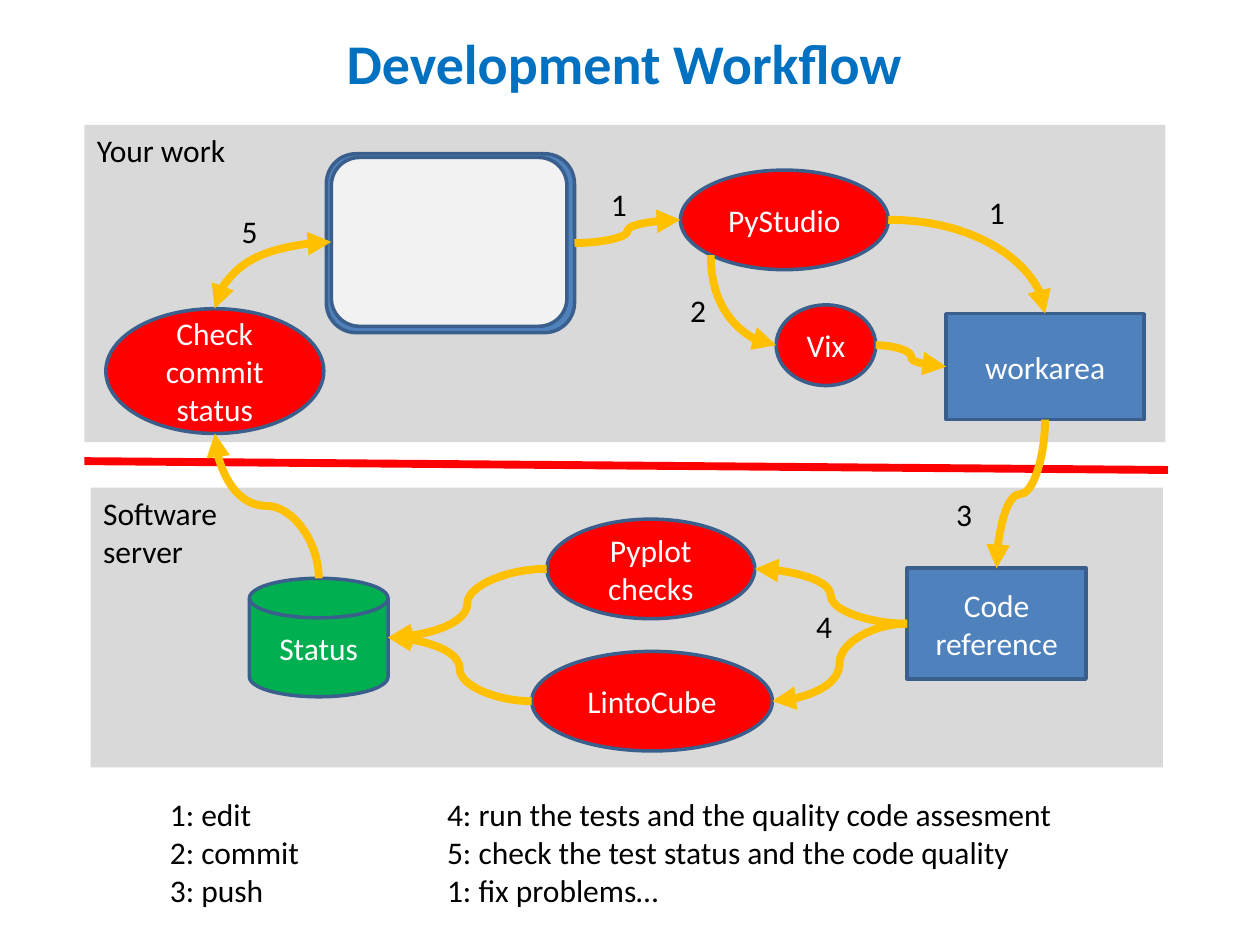
import pptx
import pptx.dml.color
import pptx.enum.shapes
import pptx.enum.text
import pptx.oxml
import pptx.util
from pptx.util import Inches

SHAPE = pptx.enum.shapes.MSO_SHAPE
CONNECTOR = pptx.enum.shapes.MSO_CONNECTOR
ALIGN = pptx.enum.text.PP_ALIGN
ANCHOR = pptx.enum.text.MSO_ANCHOR
Color = pptx.dml.color.RGBColor

WHITE = Color(0xFF, 0xFF, 0xFF)
BLACK = Color(0, 0, 0)
PANEL_GREY = Color(0xD9, 0xD9, 0xD9)
CARD_GREY = Color(0xF2, 0xF2, 0xF2)
BLUE = Color(0x4F, 0x81, 0xBD)
OUTLINE = Color(0x3A, 0x5F, 0x8C)
TITLE_BLUE = Color(0x00, 0x70, 0xC0)
RED = Color(0xFF, 0, 0)
GREEN = Color(0x00, 0xB0, 0x50)
AMBER = Color(0xFF, 0xC0, 0x00)


def write(shape, text, color, size=18, bold=False, align=ALIGN.LEFT, anchor=ANCHOR.TOP, wrap=True):
    frame = shape.text_frame
    frame.text = text
    frame.word_wrap = wrap
    frame.vertical_anchor = anchor
    for para in frame.paragraphs:
        para.alignment = align
        for span in para.runs:
            span.font.name = "Calibri"
            span.font.size = pptx.util.Pt(size)
            span.font.bold = bold
            span.font.color.rgb = color


def add_block(shapes, kind, box, fill, outline=OUTLINE):
    shape = shapes.add_shape(kind, *map(Inches, box))
    shape.shadow.inherit = False
    shape.fill.solid()
    shape.fill.fore_color.rgb = fill
    if outline is None:
        shape.line.fill.background()
    else:
        shape.line.color.rgb = outline
        shape.line.width = pptx.util.Pt(2)
    return shape


def shift(box, offset):
    """Turn an offset inside a region into a place on the page."""
    return (box[0] + offset[0], box[1] + offset[1], *offset[2:])


def add_panel(page, box, text):
    panel = add_block(page.shapes, SHAPE.RECTANGLE, box, PANEL_GREY, None)
    write(panel, text, BLACK)


def add_node(page, box, kind, offset, fill, text):
    node = add_block(page.shapes, kind, shift(box, offset), fill)
    write(node, text, WHITE, align=ALIGN.CENTER, anchor=ANCHOR.MIDDLE)
    return node


def add_note(page, box, text):
    note = page.shapes.add_textbox(*map(Inches, box))
    write(note, text, BLACK, wrap=False)


def add_step(page, box, offset, text):
    add_note(page, (*shift(box, offset), 0.33, 0.4), text)


def side(shape, across, down):
    """Point at the given fractions of the shape's width and height."""
    return (int(shape.left + across * shape.width), int(shape.top + down * shape.height))


def top(shape):
    return side(shape, 0.5, 0)


def bottom(shape):
    return side(shape, 0.5, 1)


def left(shape):
    return side(shape, 0, 0.5)


def right(shape):
    return side(shape, 1, 0.5)


def add_line(page, kind, start, end, color):
    line = page.shapes.add_connector(kind, *start, *end)
    line.line.color.rgb = color
    line.line.width = pptx.util.Pt(4.5)
    line._element.spPr.append(pptx.oxml.parse_xml(
        '<a:effectLst xmlns:a="http://schemas.openxmlformats.org/drawingml/2006/main"/>'))
    return line


def add_curve(page, start, end, quarter=False, vertical=False, ends=("tailEnd",)):
    """Curved arrow; quarter makes one bend, vertical leaves the start upright."""
    curve = add_line(page, CONNECTOR.CURVE, start, end, AMBER)
    properties = curve._element.spPr
    if quarter:
        properties.prstGeom.set("prst", "curvedConnector2")
    if vertical:
        # Swap the sides about the centre, then turn the frame a quarter
        across, down = end[0] - start[0], end[1] - start[1]
        curve.width, curve.height = abs(down), abs(across)
        curve.left = (start[0] + end[0] - abs(down)) // 2
        curve.top = (start[1] + end[1] - abs(across)) // 2
        frame = properties.xfrm
        frame.rot = 270
        frame.flipH, frame.flipV = down > 0, across < 0
    for name in ends:
        arrow = pptx.oxml.parse_xml(
            f'<a:{name} xmlns:a="http://schemas.openxmlformats.org/drawingml/2006/main" type="triangle"/>')
        curve.line._get_or_add_ln().append(arrow)


def add_title(page, box):
    title = page.shapes.title
    title.left, title.top, title.width, title.height = map(Inches, box)
    write(title, "Development Workflow", TITLE_BLUE, size=32, bold=True, wrap=False)


def add_work_region(page, box):
    add_panel(page, box, "Your work")
    workarea = add_node(page, box, SHAPE.RECTANGLE, (6.84, 1.5, 1.57, 0.84), BLUE, "workarea")
    editor = add_node(page, box, SHAPE.OVAL, (4.73, 0.36, 1.65, 0.79), RED, "PyStudio")
    versions = add_node(page, box, SHAPE.OVAL, (5.49, 1.43, 0.79, 0.64), RED, "Vix")
    check = add_node(page, box, SHAPE.OVAL, (0.17, 1.46, 1.73, 0.99), RED, "Check\ncommit\nstatus")

    # Framed card
    group = page.shapes.add_group_shape()
    frame = add_block(group.shapes, SHAPE.ROUNDED_RECTANGLE, shift(box, (1.92, 0.23, 1.97, 1.42)), BLUE)
    card = add_block(group.shapes, SHAPE.ROUNDED_RECTANGLE, shift(box, (1.96, 0.26, 1.87, 1.34)), CARD_GREY)

    # Arrows
    add_curve(page, right(frame), left(editor))
    add_curve(page, right(editor), top(workarea), quarter=True)
    add_curve(page, side(editor, 0.146, 0.854), left(versions), quarter=True, vertical=True)
    add_curve(page, right(versions), left(workarea))
    add_curve(page, left(card), top(check), quarter=True, ends=("headEnd", "tailEnd"))

    # Step numbers
    for text, offset in (("1", (4.08, 0.43)), ("1", (7.08, 0.49)), ("2", (4.71, 1.27)), ("5", (1.15, 0.64))):
        add_step(page, box, offset, text)
    return workarea, check


def add_server_region(page, box):
    add_panel(page, box, "Software\nserver")
    code = add_node(page, box, SHAPE.RECTANGLE, (6.48, 0.64, 1.42, 0.88), BLUE, "Code\nreference")
    status = add_node(page, box, SHAPE.FLOWCHART_MAGNETIC_DISK, (1.26, 0.72, 1.1, 0.94), GREEN, "Status")
    checks = (
        add_node(page, box, SHAPE.OVAL, (3.62, 0.25, 1.65, 0.79), RED, "Pyplot\nchecks"),
        add_node(page, box, SHAPE.OVAL, (3.5, 1.3, 1.91, 0.79), RED, "LintoCube"),
    )
    for check in checks:
        add_curve(page, left(code), right(check))
        add_curve(page, left(check), right(status))
    for text, offset in (("3", (6.77, 0.01)), ("4", (5.66, 0.9))):
        add_step(page, box, offset, text)
    return code, status


def add_legend(page, box):
    add_note(page, shift(box, (0, 0, 1.24, box[3])), "1: edit\n2: commit\n3: push")
    add_note(page, shift(box, (2.2, 0, 5.06, box[3])),
             "4: run the tests and the quality code assesment\n"
             "5: check the test status and the code quality\n"
             "1: fix problems…")


def main():
    deck = pptx.Presentation()
    deck.slide_width, deck.slide_height = Inches(10), Inches(7.5)
    page = deck.slides.add_slide(deck.slide_layouts[5])

    add_title(page, (2.65, 0.18, 4.65, 0.64))
    workarea, check = add_work_region(page, (0.67, 0.99, 8.58, 2.52))
    code, status = add_server_region(page, (0.72, 3.87, 8.51, 2.22))

    # Border between the regions and the arrows that cross it
    add_line(page, CONNECTOR.STRAIGHT, (Inches(0.67), Inches(3.66)), (Inches(9.27), Inches(3.73)), RED)
    add_curve(page, bottom(workarea), top(code), vertical=True)
    add_curve(page, top(status), bottom(check), vertical=True)

    add_legend(page, (1.25, 6.26, 7.26, 1.01))
    deck.save("out.pptx")


if __name__ == "__main__":
    main()
